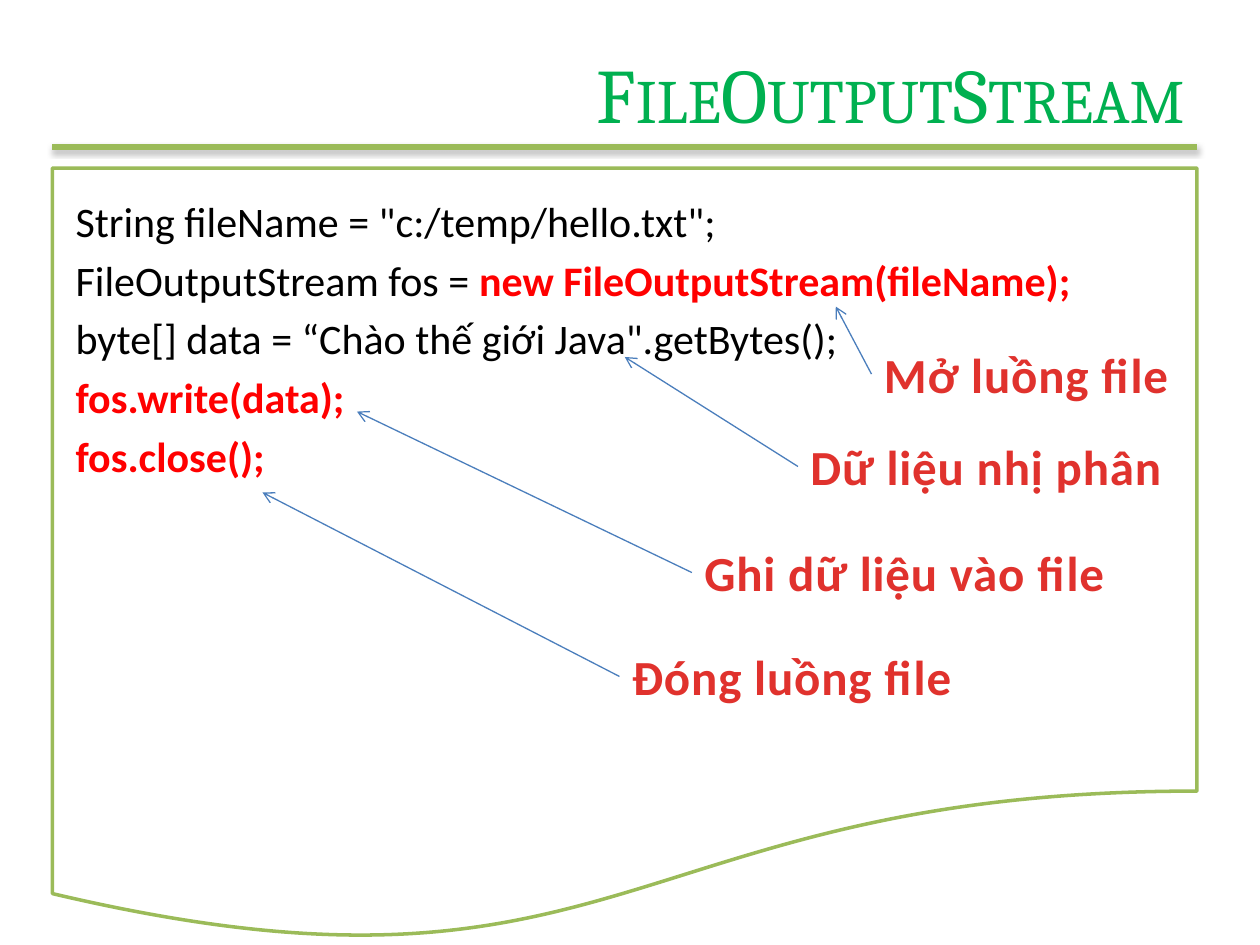
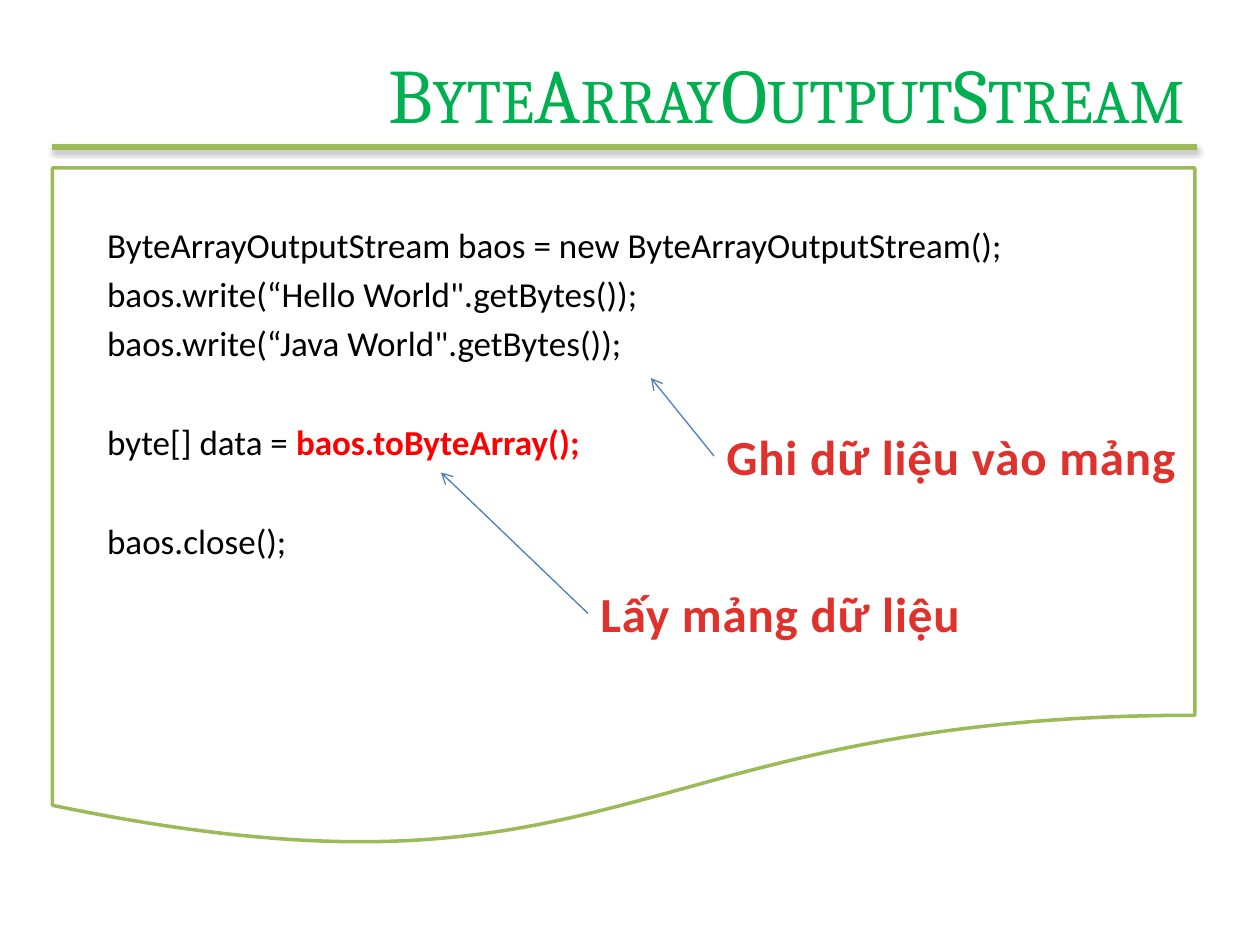
from collections import namedtuple

from lxml import etree
from pptx import Presentation
from pptx import util as u
from pptx.dml.color import RGBColor
from pptx.enum import shapes, text
from pptx.oxml import ns

COLORS = {
    "green": "9BBB59",
    "title": "00B050",
    "code": "000000",
    "key": "FF0000",
    "note": "E0322D",
    "note_dark": "A2201C",
    "arrow": "4B7EBC",
    "paper": "FFFFFF",
    "shadow": "000000",
}
HEADING_FONT, BODY_FONT = "Cambria", "Calibri"

# Grid of 120 columns by 90 rows
SLIDE_WIDTH, SLIDE_HEIGHT = u.Inches(10), u.Inches(7.5)
COLUMN, ROW = SLIDE_WIDTH / 120, SLIDE_HEIGHT / 90

Box = namedtuple("Box", "left top width height")
Note = namedtuple("Note", "words left top width target")

RULE_BOX = Box(5, 14, 109, 0)
TITLE_BOX = Box(17.4, 3.6, 96.6, 10.4)
NOTE_HEIGHT = 6.86


def rgb(name):
    return RGBColor.from_string(COLORS[name])


def lengths(box):
    """Turn grid units into slide lengths."""
    return (round(box.left * COLUMN), round(box.top * ROW),
            round(box.width * COLUMN), round(box.height * ROW))


def within(outer, left, top, width=0, height=0):
    return Box(outer.left + left, outer.top + top, width, height)


def place(shape, box):
    shape.left, shape.top, shape.width, shape.height = lengths(box)


def add_xml(parent, tag, **attributes):
    return etree.SubElement(parent, ns.qn(tag), attributes)


def write(paragraph, words, *, size, font=BODY_FONT, color=None, bold=False,
          gradient=None, **run_attributes):
    run = paragraph.add_run()
    run.text = words
    run.font.name, run.font.size, run.font.bold = font, u.Pt(size), bold
    if gradient:
        run.font.fill.gradient()
        run.font.fill.gradient_angle = 270
        for stop, (name, position) in zip(run.font.fill.gradient_stops, gradient):
            stop.color.rgb, stop.position = rgb(name), position
    else:
        run.font.color.rgb = rgb(color)
    for key, value in run_attributes.items():
        run._r.get_or_add_rPr().set(key, value)


def add_line(slide, start, end, color, width):
    """Draw a line and return it with its empty effect list."""
    x1, y1, x2, y2 = lengths(Box(*start, *end))
    line = slide.shapes.add_connector(shapes.MSO_CONNECTOR.STRAIGHT, x1, y1, x2, y2)
    line.line.color.rgb, line.line.width = rgb(color), u.Pt(width)
    effects = add_xml(line.element.spPr, "a:effectLst")
    return line, effects


def prepare_layout(layout, slide):
    """Give the layout the title position and the shadowed rule."""
    place(layout.placeholders[0], TITLE_BOX)
    rule, effects = add_line(slide, RULE_BOX[:2],
                             (RULE_BOX.left + RULE_BOX.width, RULE_BOX.top), "green", 3)
    shadow = add_xml(effects, "a:outerShdw", blurRad="40000", dist="23000",
                     dir="5400000", rotWithShape="0")
    shade = add_xml(shadow, "a:srgbClr", val=COLORS["shadow"])
    add_xml(shade, "a:alpha", val="35000")
    layout.shapes.element.append(rule.element)


def add_title(slide, words):
    paragraph = slide.shapes.title.text_frame.paragraphs[0]
    paragraph.alignment = text.PP_ALIGN.RIGHT
    write(paragraph, words, size=44, font=HEADING_FONT, color="title", cap="small")


def add_panel(slide, box):
    panel = slide.shapes.add_shape(shapes.MSO_SHAPE.FLOWCHART_DOCUMENT, *lengths(box))
    panel.shadow.inherit = False
    panel.fill.solid()
    panel.fill.fore_color.rgb = rgb("paper")
    panel.line.color.rgb, panel.line.width = rgb("green"), u.Pt(2)
    slide.shapes.element.insert(2, panel.element)  # behind the placeholders


def add_code(slide, box, groups, size, indent=0):
    """Fill the body with groups of lines; a line is (plain part, key part)."""
    body = slide.placeholders[1]
    place(body, box)
    frame = body.text_frame
    paragraph = frame.paragraphs[0]
    for group_index, group in enumerate(groups):
        for line_index, (plain, key) in enumerate(group):
            if group_index or line_index:
                paragraph = frame.add_paragraph()
            new_group = group_index and not line_index
            paragraph.space_before = u.Pt(size * (1.62 if new_group else 0.2))
            properties = paragraph._p.get_or_add_pPr()
            properties.set("marL", str(round(indent * COLUMN)))
            properties.set("indent", "0")
            add_xml(properties, "a:buNone")
            if plain:
                write(paragraph, plain, size=size, color="code")
            if key:
                write(paragraph, key, size=size, color="key", bold=True)


def add_note(slide, panel, note):
    """Place a label in the panel, with an arrow from its left side to the code."""
    box = within(panel, note.left, note.top, note.width, NOTE_HEIGHT)
    label = slide.shapes.add_textbox(*lengths(box))
    label.text_frame.word_wrap = False
    label.text_frame.auto_size = text.MSO_AUTO_SIZE.SHAPE_TO_FIT_TEXT
    write(label.text_frame.paragraphs[0], note.words, size=28, bold=True,
          gradient=[("note", 0.25), ("note_dark", 1)], spc="50")
    arrow, _ = add_line(slide, box[:2], within(panel, *note.target)[:2], "arrow", 0.75)
    arrow.begin_connect(label, 1)
    add_xml(arrow.element.spPr.find(ns.qn("a:ln")), "a:tailEnd", type="arrow")


def build_code_slide(slide, title, panel, code_box, groups, size, notes, indent=0):
    add_title(slide, title)
    add_panel(slide, panel)
    add_code(slide, within(panel, *code_box), groups, size, indent)
    for note in notes:
        add_note(slide, panel, note)


SLIDES = [
    dict(
        title="FileOutputStream",
        panel=Box(5, 16, 109, 74),
        code_box=(1, 2, 108, 62.4),
        size=24,
        groups=[[
            ('String fileName = "c:/temp/hello.txt";', ""),
            ("FileOutputStream fos = ", "new FileOutputStream(fileName);"),
            ('byte[] data = “Chào thế giới Java".getBytes();', ""),
            ("", "fos.write(data);"),
            ("", "fos.close();"),
        ]],
        notes=[
            Note("Mở luồng file", 78, 16.2, 29.9, (74.6, 13.2)),
            Note("Dữ liệu nhị phân", 71, 25, 36.4, (54.5, 18)),
            Note("Ghi dữ liệu vào file", 60.9, 35.1, 41, (29, 23.2)),
            Note("Đóng luồng file", 54, 45, 33.2, (20, 30.9)),
        ],
    ),
    dict(
        title="ByteArrayOutputStream",
        panel=Box(5, 16, 108.8, 65),
        code_box=(1, 4.7, 108, 59.7),
        size=20,
        indent=3,
        groups=[
            [
                ("ByteArrayOutputStream baos = new ByteArrayOutputStream();", ""),
                ('baos.write(“Hello World".getBytes());', ""),
                ('baos.write(“Java World".getBytes());', ""),
            ],
            [("byte[] data = ", "baos.toByteArray();")],
            [("baos.close();", "")],
        ],
        notes=[
            Note("Ghi dữ liệu vào mảng", 63, 24, 45.8, (57, 20)),
            Note("Lấy mảng dữ liệu", 51, 39, 37.2, (37, 29)),
        ],
    ),
]


def main():
    presentation = Presentation()
    presentation.slide_width, presentation.slide_height = SLIDE_WIDTH, SLIDE_HEIGHT
    layout = presentation.slide_layouts[1]
    slides = [presentation.slides.add_slide(layout) for _ in SLIDES]
    prepare_layout(layout, slides[0])
    for slide, content in zip(slides, SLIDES):
        build_code_slide(slide, **content)
    presentation.save("out.pptx")


if __name__ == "__main__":
    main()
